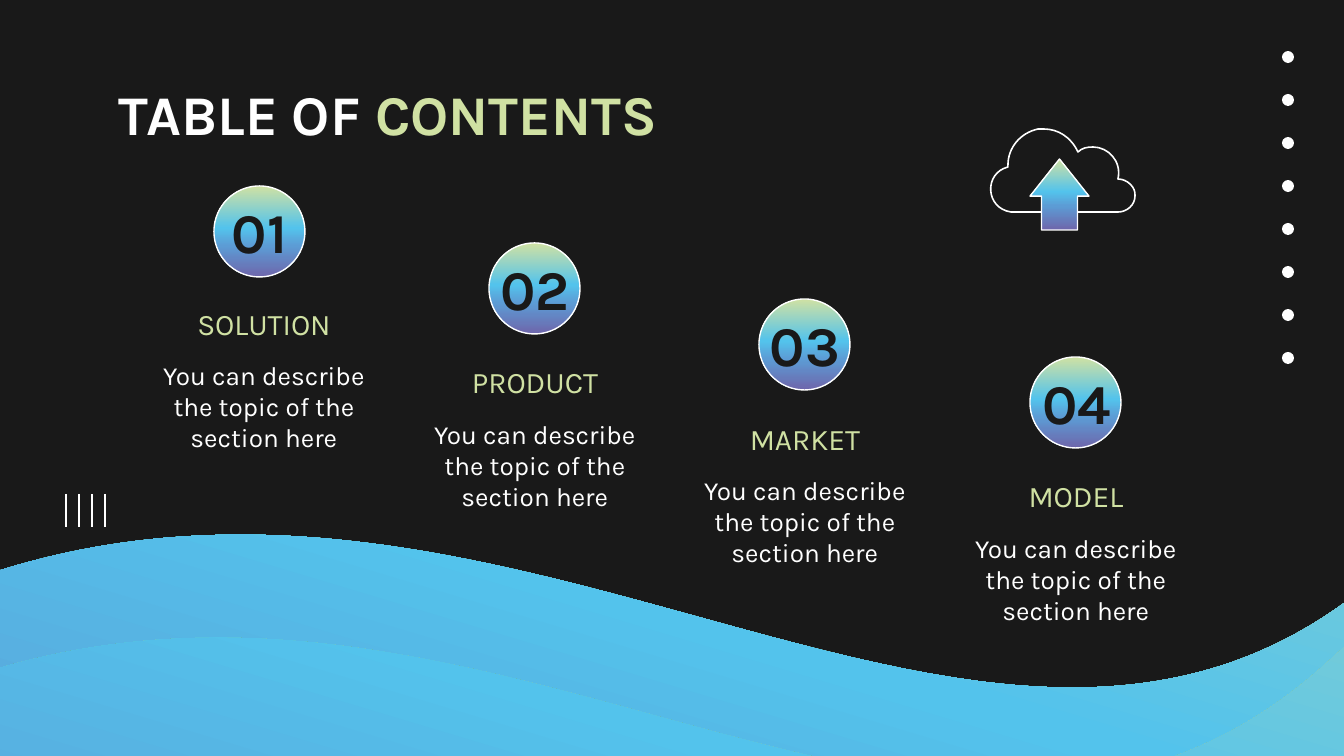
from dataclasses import dataclass
from math import cos, radians, sin

from lxml.etree import SubElement
from pptx import Presentation
from pptx.dml.color import RGBColor
from pptx.enum.shapes import MSO_CONNECTOR as CONNECTOR, MSO_SHAPE as SHAPE
from pptx.enum.text import MSO_ANCHOR as ANCHOR, PP_ALIGN as ALIGN
from pptx.oxml.ns import qn
from pptx.util import Emu, Pt

EMU_PER_PX = 914400 / 134.4
DARK, WHITE, GREEN = "191919", "FFFFFF", "D0E1A3"
GRADIENT = [(0, GREEN), (46, "53C3EC"), (66, "5C9CD5"), (100, "6E66AB")]


def px(value):
    return Emu(round(value * EMU_PER_PX))


def color(hex_code):
    return RGBColor.from_string(hex_code)


def rotate(points, center, degrees):
    cx, cy = center
    c, s = cos(radians(degrees)), sin(radians(degrees))
    return [(cx + (x - cx) * c - (y - cy) * s, cy + (x - cx) * s + (y - cy) * c)
            for x, y in points]


@dataclass
class Canvas:
    slide: object
    font: str = "Karla"
    inset: int = 13

    def paint(self, shape, fill=None, line=None, width=0.75):
        shape.shadow.inherit = False
        if fill is None:
            shape.fill.background()
        elif fill is GRADIENT:
            self.gradient(shape)
        else:
            shape.fill.solid()
            shape.fill.fore_color.rgb = color(fill)
        if line:
            shape.line.color.rgb = color(line)
            shape.line.width = Pt(width)
        else:
            shape.line.fill.background()

    def gradient(self, shape):
        shape.fill.gradient()
        shape.fill.gradient_angle = 270
        stops = next(shape._element.spPr.iter(qn("a:gsLst")))
        for stop in list(stops):
            stops.remove(stop)
        for position, hex_code in GRADIENT:
            stop = SubElement(stops, qn("a:gs"), pos=str(position * 1000))
            SubElement(stop, qn("a:srgbClr"), val=hex_code)

    def preset(self, kind, left, top, width, height, **style):
        shape = self.slide.shapes.add_shape(kind, px(left), px(top), px(width), px(height))
        self.paint(shape, **style)
        return shape

    def outline(self, path, center=(0, 0), rotation=0, **style):
        """Draw steps that are lines (x, y) or Bezier curves (6 numbers)."""
        points = [step[i:i + 2] for step in path for i in range(0, len(step), 2)]
        # Points are turned back so that the rotated shape lands on the path
        points = [(px(x), px(y)) for x, y in rotate(points, center, -rotation)]
        builder = self.slide.shapes.build_freeform(*points[0])
        builder.add_line_segments(points[1:], close=True)
        shape = builder.convert_to_shape()
        shape.rotation = rotation
        self.bend(shape, path)
        self.paint(shape, **style)

    def bend(self, shape, path):
        """Join the three line segments of each curve into one Bezier segment."""
        outline = next(shape._element.spPr.iter(qn("a:path")))
        segments = iter(outline.findall(qn("a:lnTo")))
        for step in path[1:]:
            segment = next(segments)
            if len(step) == 6:
                segment.addprevious(curve := SubElement(outline, qn("a:cubicBezTo")))
                for part in (segment, next(segments), next(segments)):
                    curve.append(part[0])
                    outline.remove(part)

    def line(self, x1, y1, x2, y2, hex_code, width):
        connector = self.slide.shapes.add_connector(
            CONNECTOR.STRAIGHT, px(x1), px(y1), px(x2), px(y2))
        connector.line.color.rgb = color(hex_code)
        connector.line.width = Pt(width)
        SubElement(connector._element.spPr, qn("a:effectLst"))

    def text(self, left, top, width, height, runs, size, bold=False,
             align=ALIGN.CENTER, anchor=ANCHOR.TOP):
        box = self.slide.shapes.add_textbox(px(left), px(top), px(width), px(height))
        frame = box.text_frame
        frame.word_wrap = True
        frame.vertical_anchor = anchor
        frame.margin_left = frame.margin_right = px(self.inset)
        frame.margin_top = frame.margin_bottom = px(self.inset)
        paragraph = frame.paragraphs[0]
        paragraph.alignment = align
        for words, hex_code in runs:
            run = paragraph.add_run()
            run.text = words
            run.font.name = self.font
            run.font.size = Pt(size)
            run.font.bold = bold
            run.font.color.rgb = color(hex_code)


# Outlines in px; the waves are listed with their centres of rotation
WAVES = [
    ((870, 766), [(1663, 418), (1577, 433, 1461, 504, 1380, 575),
                  (966, 935, 435, 286, -176, 650), (-282, 1005), (233, 1159),
                  (374, 1067, 1004, 1009, 1125, 1019), (1683, 1062, 1718, 1130, 1841, 1138)]),
    ((823, 866), [(1609, 493), (1524, 511, 1410, 587, 1329, 661),
                  (914, 1040, 401, 378, -208, 763), (-319, 1132), (187, 1284),
                  (327, 1187, 950, 1117, 1070, 1125), (1621, 1160, 1653, 1231, 1774, 1238)]),
]
CLOUD = [(1044, 129), (1042, 129, 1040, 129, 1038, 129), (1020, 133, 1008, 148, 1008, 165),
         (1008, 167), (984, 173, 985, 208, 1011, 212), (1118, 212),
         (1127, 212, 1135, 205, 1135, 196), (1136, 187, 1127, 179, 1118, 179),
         (1122, 161, 1108, 147, 1093, 147), (1087, 147, 1082, 148, 1078, 152),
         (1071, 137, 1058, 129, 1044, 129)]

# Name, circle left and top, number left and width, text left, name top, description top
SECTIONS = [("SOLUTION", 214, 186, 195, 129, 143, 293, 346),
            ("PRODUCT", 489, 243, 434, 202, 414, 351, 405),
            ("MARKET", 759, 299, 704, 202, 684, 408, 461),
            ("MODEL", 1030, 357, 976, 202, 955, 465, 519)]
DESCRIPTION = "You can describe the topic of the section here"
CIRCLE, TEXT_WIDTH = 91, 242


def main():
    presentation = Presentation()
    presentation.slide_width, presentation.slide_height = px(1344), px(756)
    slide = presentation.slides.add_slide(presentation.slide_layouts[6])
    slide.background.fill.solid()
    slide.background.fill.fore_color.rgb = color(DARK)
    canvas = Canvas(slide)

    # Waves
    for center, path in WAVES:
        canvas.outline(path, center, 16.7, fill=GRADIENT)

    # Column of dots and row of bars
    for i in range(8):
        canvas.preset(SHAPE.OVAL, 1282, 51 + 43 * i, 12, 12, fill=WHITE)
    for i in range(4):
        x = 66 + 13 * i
        canvas.line(x, 494, x, 527, WHITE, 1.5)

    # Title
    canvas.text(106, 67, 1075, 106, [("TABLE OF ", WHITE), ("CONTENTS", GREEN)],
                30, bold=True, align=ALIGN.LEFT)

    # Sections
    for number, section in enumerate(SECTIONS, 1):
        name, left, top, number_left, number_width, text_left, name_top, text_top = section
        canvas.preset(SHAPE.OVAL, left, top, CIRCLE, CIRCLE, fill=GRADIENT, line=WHITE)
        canvas.text(number_left, top + 5, number_width, 81, [(f"{number:02}", DARK)],
                    30, bold=True, anchor=ANCHOR.MIDDLE)
        canvas.text(text_left, name_top, TEXT_WIDTH, 67, [(name, GREEN)], 16)
        canvas.text(text_left, text_top, TEXT_WIDTH, 122, [(DESCRIPTION, WHITE)], 14)

    # Cloud with upload arrow
    canvas.outline(CLOUD, line=WHITE, width=0.85)
    arrow = canvas.preset(SHAPE.UP_ARROW, 1030, 159, 59, 71, fill=GRADIENT, line=WHITE)
    arrow.adjustments[0], arrow.adjustments[1] = 0.61, 0.63

    presentation.save("out.pptx")


if __name__ == "__main__":
    main()
